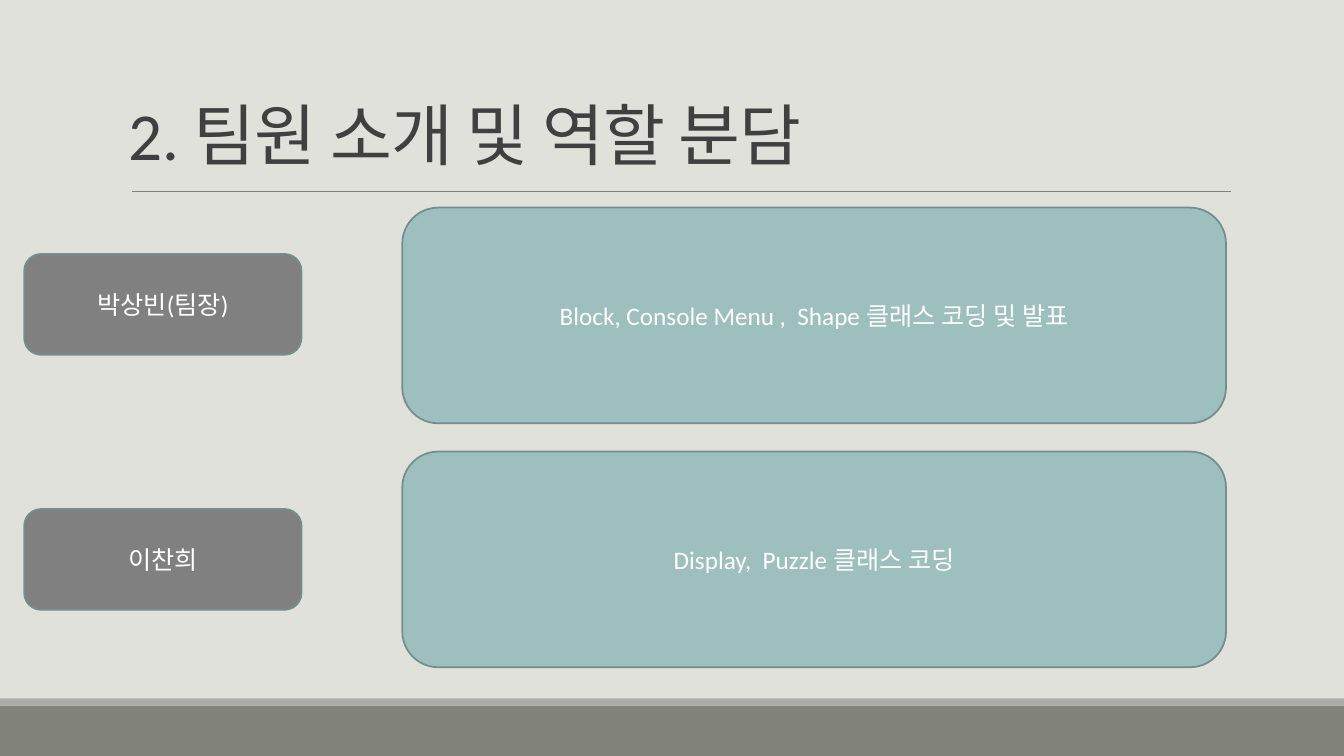
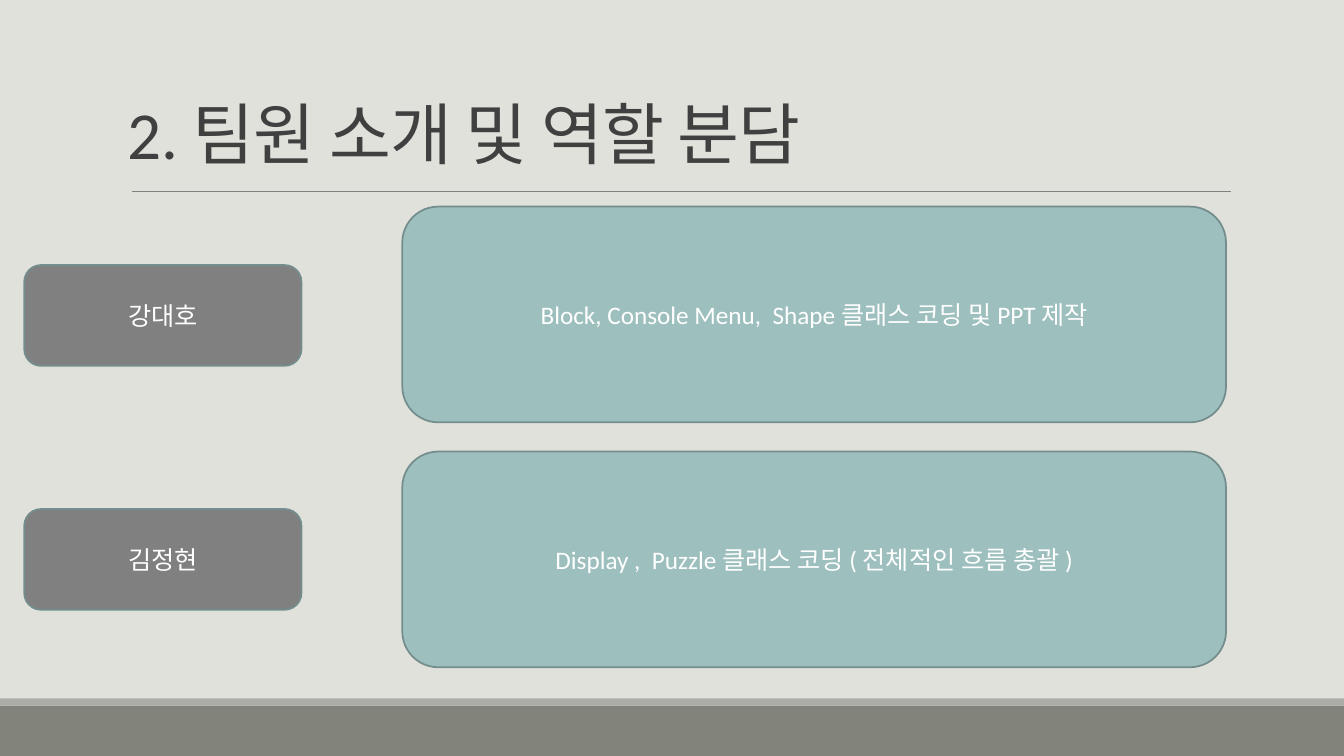
from pptx import Presentation
from pptx.dml.color import RGBColor
from pptx.enum.shapes import MSO_CONNECTOR, MSO_SHAPE
from pptx.enum.text import MSO_ANCHOR, PP_ALIGN
from pptx.oxml.ns import qn
from pptx.util import Inches, Pt
from lxml import etree

RECT, ROUND = MSO_SHAPE.RECTANGLE, MSO_SHAPE.ROUNDED_RECTANGLE
LINE = MSO_CONNECTOR.STRAIGHT
MIDDLE, BOTTOM = MSO_ANCHOR.MIDDLE, MSO_ANCHOR.BOTTOM
CENTER = PP_ALIGN.CENTER

PAPER = RGBColor(0xE1, 0xE1, 0xDB)
BAND = RGBColor(0x82, 0x84, 0x7C)
STRIP = RGBColor(0xAC, 0xAD, 0xA8)
GRAY = RGBColor(0x80, 0x80, 0x80)
TEAL = RGBColor(0x9D, 0xBF, 0xBE)
EDGE = RGBColor(0x74, 0x8D, 0x8D)
INK = RGBColor(0x40, 0x40, 0x40)
WHITE = RGBColor(0xFF, 0xFF, 0xFF)

FONT = "Calibri"
WIDE, HIGH = 13.33, 7.5
TITLE = "2. 팀원 소개 및 역할 분담"
NAME_W, NAME_H = 2.75, 1
ROLE_X, ROLE_W, ROLE_H = 3.75, 8.17, 2.14
LEFT, LOW = 0.24, 4.48

TEAMS = [
    ((1.18, 0.19), [
        (2.06, 2.52, "박상빈(팀장)",
         "Block, Console Menu\u00a0,\u00a0 Shape 클래스 코딩 및 발표"),
        (LOW, 5.05, "이찬희", "Display,\u00a0 Puzzle 클래스 코딩"),
    ]),
    ((1.17, 0.18), [
        (2.05, 2.63, "강대호",
         "Block,\u00a0Console\u00a0Menu,\u00a0\u00a0Shape\u00a0클래스 코딩 및 PPT 제작"),
        (LOW, 5.05, "김정현",
         "Display\u00a0,\u00a0\u00a0Puzzle\u00a0클래스 코딩 ( 전체적인 흐름\u00a0총괄 )"),
    ]),
]


def style(para, size, color):
    """Set the font of a paragraph."""
    font = para.font
    font.name, font.size, font.color.rgb = FONT, Pt(size), color


def add_box(slide, kind, box, fill):
    """Add a plain filled shape without a line."""
    shape = slide.shapes.add_shape(kind, *map(Inches, box))
    shape.shadow.inherit = False
    shape.fill.solid()
    shape.fill.fore_color.rgb = fill
    shape.line.fill.background()
    return shape


def add_card(slide, box, fill, text):
    """Add a rounded card with centred white text."""
    card = add_box(slide, ROUND, box, fill)
    card.line.color.rgb = EDGE
    card.line.width = Pt(1.25)
    frame = card.text_frame
    frame.word_wrap = True
    frame.vertical_anchor = MIDDLE
    para = frame.paragraphs[0]
    para.text = text
    para.alignment = CENTER
    style(para, 18, WHITE)


def add_frame(slide):
    """Add the bottom bands and the rule below the title."""
    add_box(slide, RECT, (0, HIGH - 0.5, WIDE, 0.5), BAND)
    add_box(slide, RECT, (0, HIGH - 0.57, WIDE, 0.07), STRIP)
    ends = map(Inches, (1.31, 1.9, 12.21, 1.9))
    rule = slide.shapes.add_connector(LINE, *ends)
    rule.line.color.rgb = GRAY
    rule.line.width = Pt(0.5)
    etree.SubElement(rule._element.spPr, qn("a:effectLst"))


def add_title(slide, box):
    """Add the title, resting on the bottom of its box."""
    frame = slide.shapes.add_textbox(*map(Inches, box)).text_frame
    frame.word_wrap = True
    frame.vertical_anchor = BOTTOM
    para = frame.paragraphs[0]
    run = para.add_run()
    run.text = TITLE
    run._r.get_or_add_rPr().set("spc", "-50")
    para.line_spacing = 0.85
    style(para, 48, INK)


def add_member(slide, left, top, name_top, name, role):
    """Add a name card and the role card to its right."""
    add_card(slide, (left, name_top, NAME_W, NAME_H), GRAY, name)
    add_card(slide, (left + ROLE_X, top, ROLE_W, ROLE_H), TEAL, role)


def add_team(deck, spot, team):
    """Add a slide that lists members and their roles."""
    slide = deck.slides.add_slide(deck.slide_layouts[6])
    add_frame(slide)
    add_title(slide, (*spot, 11, 1.59))
    for member in team:
        add_member(slide, LEFT, *member)


def main():
    """Build and save the deck."""
    deck = Presentation()
    deck.slide_width, deck.slide_height = Inches(WIDE), Inches(HIGH)
    paper = deck.slide_master.background.fill
    paper.solid()
    paper.fore_color.rgb = PAPER
    for spot, team in TEAMS:
        add_team(deck, spot, team)
    deck.save("out.pptx")


main()
